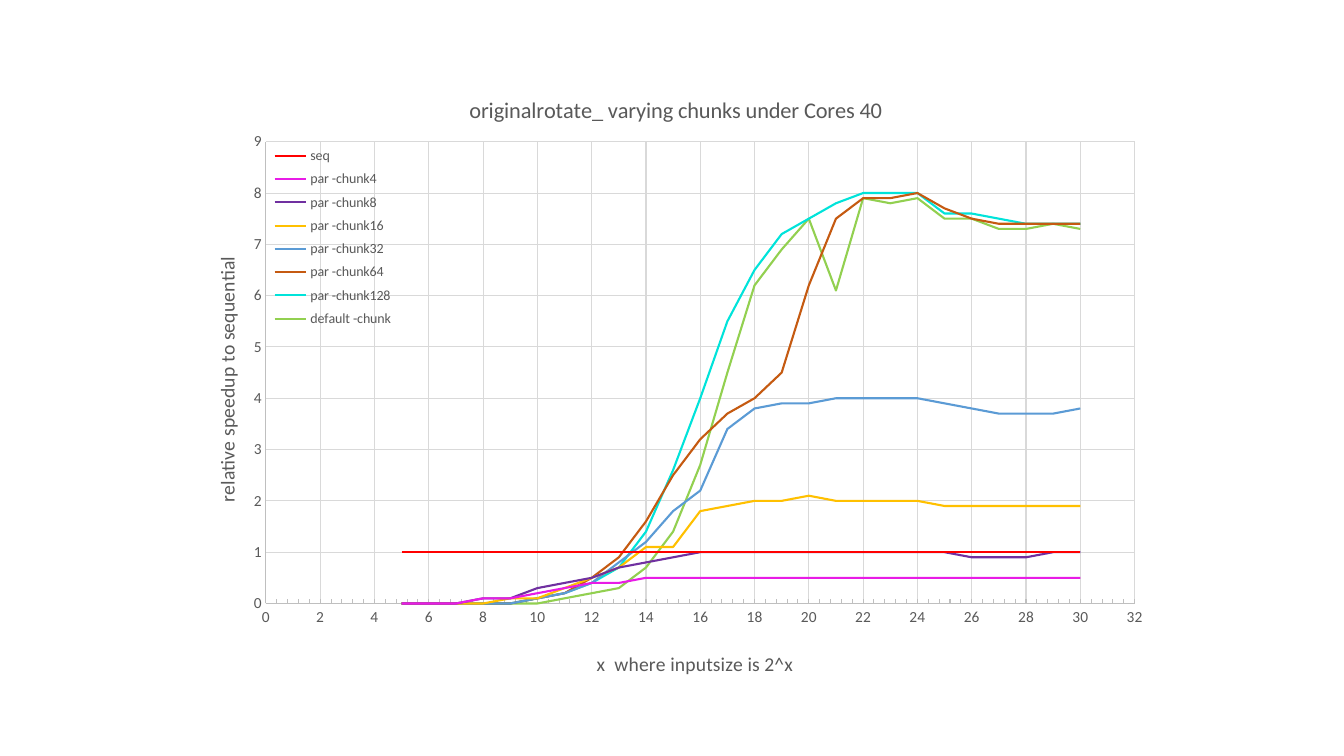
"""Builds a slide with a scatter chart of speedups for varying chunk sizes."""
from lxml import etree
from pptx import Presentation
from pptx.chart.data import XyChartData
from pptx.dml.color import RGBColor
from pptx.enum.chart import XL_CHART_TYPE, XL_LEGEND_POSITION, XL_TICK_MARK
from pptx.oxml.ns import qn
from pptx.util import Pt

SCATTER = XL_CHART_TYPE.XY_SCATTER_LINES_NO_MARKERS
LEGEND_RIGHT = XL_LEGEND_POSITION.RIGHT
NO_TICK = XL_TICK_MARK.NONE
INSIDE_TICK = XL_TICK_MARK.INSIDE
GREY = "595959"

SPEEDUPS = [
    ("seq", "FF0000", [1] * 26),
    ("par -chunk4", "E81CE6",
     [0, 0, 0, 0.1, 0.1, 0.2, 0.3, 0.4, 0.4] + [0.5] * 17),
    ("par -chunk8", "7030A0",
     [0, 0, 0, 0.1, 0.1, 0.3, 0.4, 0.5, 0.7, 0.8, 0.9, 1, 1,
      1, 1, 1, 1, 1, 1, 1, 1, 0.9, 0.9, 0.9, 1, 1]),
    ("par -chunk16", "FFC000",
     [0, 0, 0, 0, 0.1, 0.1, 0.3, 0.5, 0.7, 1.1, 1.1, 1.8, 1.9,
      2, 2, 2.1, 2, 2, 2, 2, 1.9, 1.9, 1.9, 1.9, 1.9, 1.9]),
    ("par -chunk32", "5B9BD5",
     [0, 0, 0, 0, 0, 0.1, 0.2, 0.4, 0.8, 1.2, 1.8, 2.2, 3.4,
      3.8, 3.9, 3.9, 4, 4, 4, 4, 3.9, 3.8, 3.7, 3.7, 3.7, 3.8]),
    ("par -chunk64", "C55A11",
     [0, 0, 0, 0, 0, 0.1, 0.2, 0.5, 0.9, 1.6, 2.5, 3.2, 3.7,
      4, 4.5, 6.2, 7.5, 7.9, 7.9, 8, 7.7, 7.5, 7.4, 7.4, 7.4, 7.4]),
    ("par -chunk128", "00E3DA",
     [0, 0, 0, 0, 0, 0.1, 0.2, 0.4, 0.7, 1.4, 2.6, 4, 5.5,
      6.5, 7.2, 7.5, 7.8, 8, 8, 8, 7.6, 7.6, 7.5, 7.4, 7.4, 7.4]),
    ("default -chunk", "92D050",
     [0, 0, 0, 0, 0, 0, 0.1, 0.2, 0.3, 0.7, 1.4, 2.7, 4.5,
      6.2, 6.9, 7.5, 6.1, 7.9, 7.8, 7.9, 7.5, 7.5, 7.3, 7.3, 7.4, 7.3]),
]


def style(part, color, size):
    """Colour a font at a text size, or a line at a width."""
    if hasattr(part, "size"):
        part.name, part.size, part.bold = "Calibri", Pt(size), False
        part.color.rgb = RGBColor.from_string(color)
    else:
        part.width = Pt(size)
        part.fill.solid()
        part.fill.fore_color.rgb = RGBColor.from_string(color)


def place(element, index, **settings):
    """Give a chart part a manual layout as fractions of the chart."""
    for old in element.findall(qn("c:layout")):
        element.remove(old)
    layout = etree.Element(qn("c:layout"))
    manual = etree.SubElement(layout, qn("c:manualLayout"))
    for tag, value in settings.items():
        etree.SubElement(manual, qn("c:" + tag)).set("val", str(value))
    element.insert(index, layout)


prs = Presentation()
prs.slide_width, prs.slide_height = Pt(960), Pt(540)
slide = prs.slides.add_slide(prs.slide_layouts[6])

chart_data = XyChartData()
for name, color, speedups in SPEEDUPS:
    points = chart_data.add_series(name)
    for exponent, speedup in enumerate(speedups, start=5):
        points.add_data_point(exponent, speedup)

chart = slide.shapes.add_chart(
    SCATTER, Pt(128.9), Pt(46.8), Pt(702), Pt(446.4), chart_data).chart
style(chart.font, "000000", 10)
plot = chart.plots[0]
plot.vary_by_categories = False
for series, (name, color, speedups) in zip(plot.series, SPEEDUPS):
    series.smooth = False
    style(series.format.line, color, 1.5)

exponent_axis, speedup_axis = chart.category_axis, chart.value_axis
for axis, top, step in ((exponent_axis, 32, 2), (speedup_axis, 9, 1)):
    axis.minimum_scale, axis.maximum_scale, axis.major_unit = 0, top, step
    axis.major_tick_mark = axis.minor_tick_mark = NO_TICK
    axis.has_major_gridlines = True
    style(axis.major_gridlines.format.line, "D9D9D9", 0.75)
    style(axis.format.line, "BFBFBF", 0.75)
    style(axis.tick_labels.font, GREY, 11)
exponent_axis.minor_tick_mark = INSIDE_TICK

for heading, text, size, x, y in (
    (chart.chart_title, "originalrotate_ varying chunks under Cores 40", 16, 0.29, 0.04),
    (exponent_axis.axis_title, "x  where inputsize is 2^x", 14, 0.42, 0.93),
    (speedup_axis.axis_title, "relative speedup to sequential", 14, 0.03, 0.3),
):
    heading.text_frame.text = text
    style(heading.text_frame.paragraphs[0].font, GREY, size)
    place(heading._element, 1, xMode="edge", yMode="edge", x=x, y=y)
speedup_axis.axis_title.text_frame._txBody.bodyPr.set("rot", "-5400000")

chart.has_legend = True
chart.legend.position = LEGEND_RIGHT
chart.legend.include_in_layout = True
style(chart.legend.font, GREY, 10)
place(chart.legend._element, 1, xMode="edge", yMode="edge",
      x=0.09, y=0.12, w=0.13, h=0.31)
place(chart._chartSpace.chart.plotArea, 0, layoutTarget="inner",
      xMode="edge", yMode="edge", x=0.087, y=0.122, w=0.884, h=0.739)

prs.save("out.pptx")
